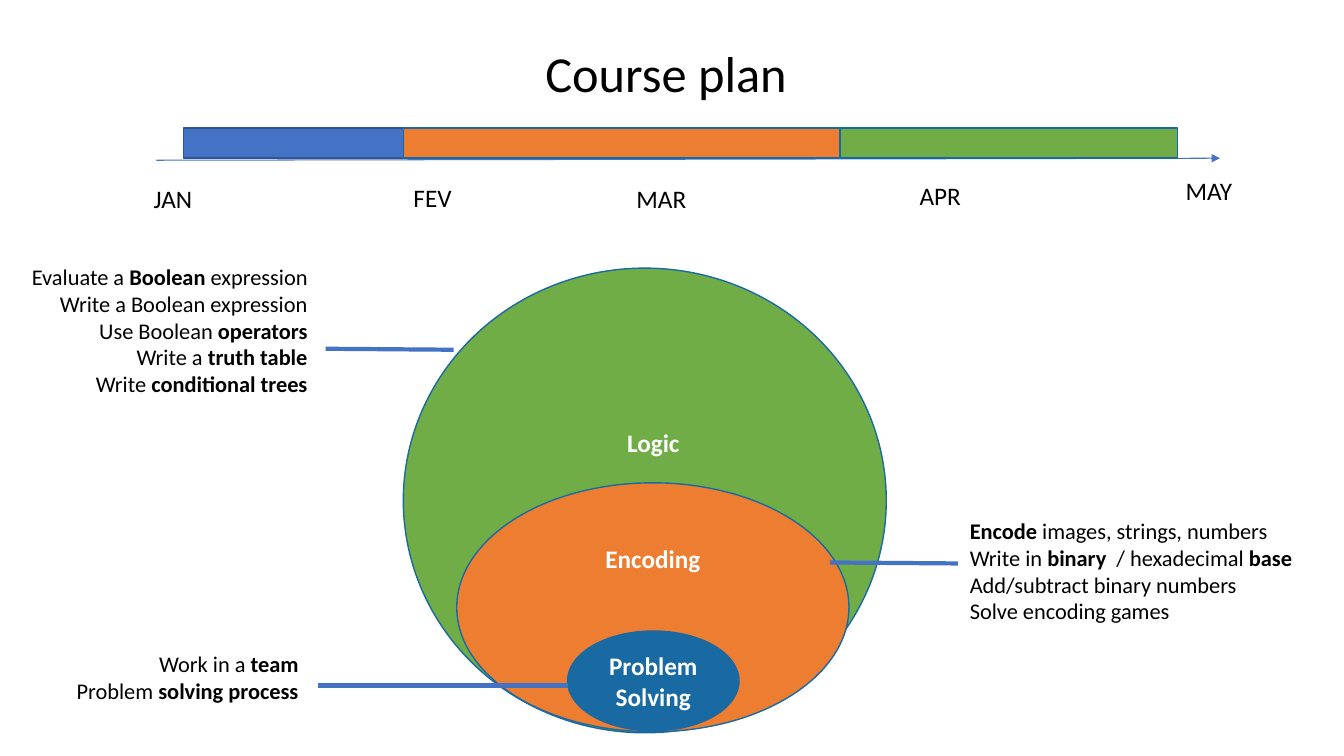
from pptx import Presentation
from pptx.dml.color import RGBColor
from pptx.enum.dml import MSO_THEME_COLOR
from pptx.enum.shapes import MSO_CONNECTOR, MSO_SHAPE
from pptx.enum.text import MSO_ANCHOR, MSO_AUTO_SIZE, PP_ALIGN
from pptx.oxml.ns import qn
from pptx.util import Inches, Pt
from lxml import etree

LEFT, CENTER, RIGHT = PP_ALIGN.LEFT, PP_ALIGN.CENTER, PP_ALIGN.RIGHT
MIDDLE = MSO_ANCHOR.MIDDLE
FIT_SHAPE = MSO_AUTO_SIZE.SHAPE_TO_FIT_TEXT
ELLIPSE, RECTANGLE = MSO_SHAPE.OVAL, MSO_SHAPE.RECTANGLE
STRAIGHT = MSO_CONNECTOR.STRAIGHT
BACKGROUND = MSO_THEME_COLOR.BACKGROUND_1

THEME = {
    "font": "Calibri",
    "black": "000000", "white": "FFFFFF",
    "blue": "4472C4", "orange": "ED7D31", "green": "70AD47",
    "deep": "196AA2", "navy": "325491",
    "title": 36, "label": 18, "note": 16,
    "outline": 1, "axis": 0.75, "leader": 3,
}

TITLE = ("Course plan", (5.31, 0.37, 2.92, 0.71))

TOPICS = [
    ((4, 2.66, 4.79, 4.61), "green"),
    ((4.53, 4.79, 3.89, 2.47), "orange"),
    ((5.63, 6.26, 1.7, 0.99), "deep"),
]
CORE_TOPIC = ["**Problem**", "**Solving**"]
TOPIC_NAMES = [
    ("**Logic**", (5.48, 4.19, 2, 0.4)),
    ("**Encoding**", (5.75, 5.34, 1.45, 0.4)),
]

SKILLS = [
    (["**Encode** images, strings, numbers",
      "Write in **binary**  / hexadecimal **base**",
      "Add/subtract binary numbers",
      "Solve encoding games"], (9.52, 5.08, 3.42, 1.18), LEFT),
    (["Work in a **team**",
      "Problem **solving process**"], (0.62, 6.4, 2.44, 0.64), RIGHT),
    (["Evaluate a **Boolean** expression",
      "Write a Boolean expression",
      "Use Boolean **operators**",
      "Write a **truth table**",
      "Write **conditional trees**"], (0.18, 2.56, 2.97, 1.45), RIGHT),
]
LEADERS = [
    (5.63, 6.8, 3.15, 6.8),
    (9.5, 5.59, 8.23, 5.58),
    (4.5, 3.47, 3.23, 3.46),
]

AXIS = (1.55, 1.59, 12.1, 1.57)
MONTHS = [
    ("JAN", 1.42, 1.77, 0.59),
    ("FEV", 4, 1.76, 0.58),
    ("MAR", 6.21, 1.77, 0.7),
    ("APR", 9.02, 1.74, 0.61),
    ("MAY", 11.46, 1.69, 1.06),
]
MONTH_HEIGHT = 0.4
PHASE_START, PHASE_TOP, PHASE_HEIGHT = 1.82, 1.27, 0.3
PHASES = [(2.18, "blue", "navy"), (4.33, "orange", "deep"), (3.35, "green", "deep")]


def color(name):
    return RGBColor.from_string(THEME[name])


def write(frame, lines, size, ink, align):
    for index, line in enumerate(lines):
        para = frame.paragraphs[0] if index == 0 else frame.add_paragraph()
        para.alignment = align
        for position, piece in enumerate(line.split("**")):
            if piece:
                span = para.add_run()
                span.text = piece
                span.font.name = THEME["font"]
                span.font.size = Pt(THEME[size])
                span.font.bold = position % 2 == 1
                span.font.color.rgb = color(ink)


def add_text(page, lines, area, size, ink="black", align=CENTER):
    box = page.shapes.add_textbox(*map(Inches, area))
    box.text_frame.word_wrap = False
    box.text_frame.auto_size = FIT_SHAPE
    write(box.text_frame, lines, size, ink, align)


def add_block(page, kind, area, fill, outline):
    block = page.shapes.add_shape(kind, *map(Inches, area))
    block.shadow.inherit = False
    block.fill.solid()
    block.fill.fore_color.rgb = color(fill)
    block.line.color.rgb = color(outline)
    block.line.width = Pt(THEME["outline"])
    return block


def add_line(page, ends, width):
    line = page.shapes.add_connector(STRAIGHT, *map(Inches, ends))
    line.line.color.rgb = color("blue")
    line.line.width = Pt(THEME[width])
    etree.SubElement(line._element.spPr, qn("a:effectLst"))
    return line


def add_diagram(page):
    for area, fill in TOPICS:
        topic = add_block(page, ELLIPSE, area, fill, "deep")
    topic.text_frame.vertical_anchor = MIDDLE
    write(topic.text_frame, CORE_TOPIC, "label", "white", CENTER)
    for name, area in TOPIC_NAMES:
        add_text(page, [name], area, "label", "white")
    for lines, area, align in SKILLS:
        add_text(page, lines, area, "note", align=align)
    for ends in LEADERS:
        add_line(page, ends, "leader")


def add_timeline(page):
    axis = add_line(page, AXIS, "axis")
    etree.SubElement(axis.line._get_or_add_ln(), qn("a:tailEnd"), type="triangle")
    for month, left, top, width in MONTHS:
        add_text(page, [month], (left, top, width, MONTH_HEIGHT), "label")
    left = PHASE_START
    for width, fill, outline in PHASES:
        add_block(page, RECTANGLE, (left, PHASE_TOP, width, PHASE_HEIGHT), fill, outline)
        left += width


def main():
    deck = Presentation()
    deck.slide_width, deck.slide_height = Inches(13.33), Inches(7.5)
    page = deck.slides.add_slide(deck.slide_layouts[6])
    page.background.fill.solid()
    page.background.fill.fore_color.theme_color = BACKGROUND
    add_diagram(page)
    add_timeline(page)
    title, area = TITLE
    add_text(page, [title], area, "title", align=LEFT)
    deck.save("out.pptx")


if __name__ == "__main__":
    main()
